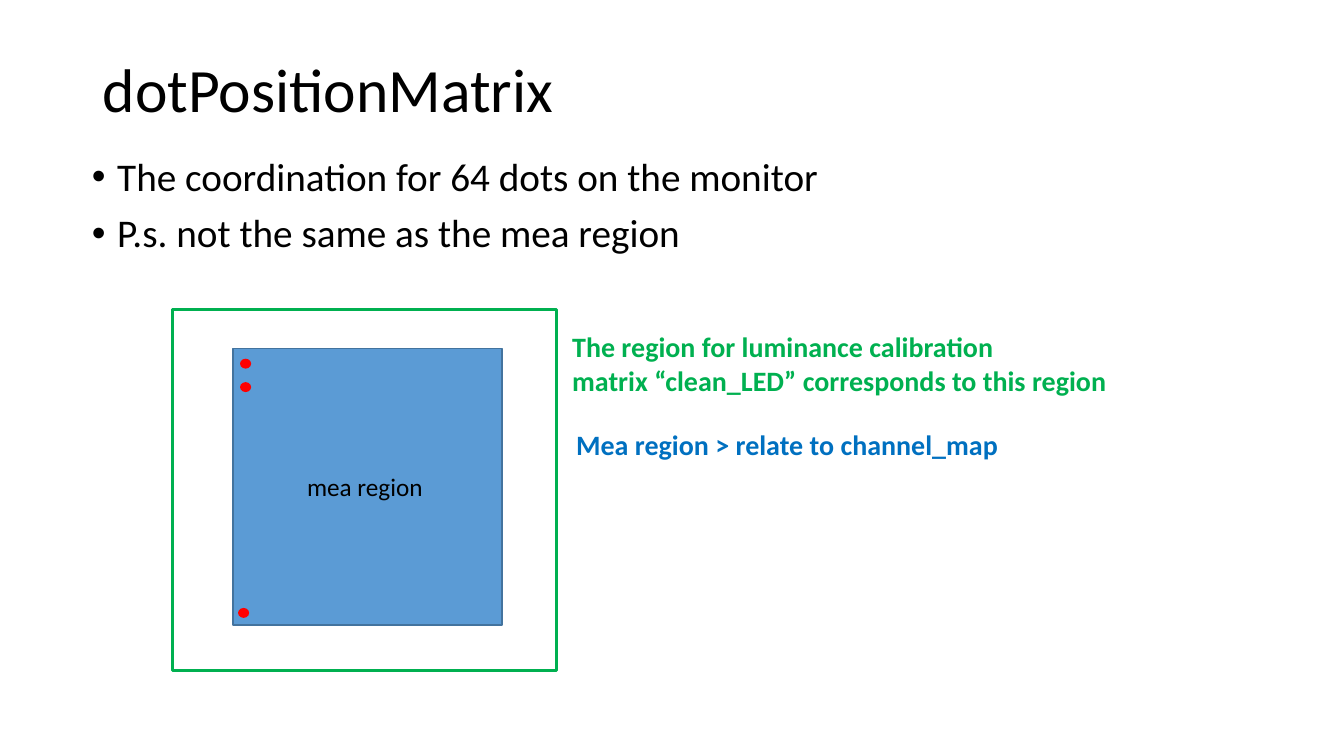
from collections import namedtuple

from pptx import Presentation
from pptx.dml.color import RGBColor
from pptx.enum.shapes import MSO_SHAPE
from pptx.enum.text import MSO_ANCHOR, MSO_AUTO_SIZE, PP_ALIGN
from pptx.util import Cm, Pt

BLACK = RGBColor(0x00, 0x00, 0x00)
BLUE = RGBColor(0x5B, 0x9B, 0xD5)
DARK_BLUE = RGBColor(0x43, 0x73, 0x9E)
NOTE_BLUE = RGBColor(0x00, 0x70, 0xC0)
GREEN = RGBColor(0x00, 0xB0, 0x50)
RED = RGBColor(0xFF, 0x00, 0x00)

Box = namedtuple("Box", "left top width height")


def inside(box, left, top, width, height):
    return Box(box.left + left, box.top + top, width, height)


def place(shape, box):
    shape.left, shape.top, shape.width, shape.height = (Cm(side) for side in box)


def format_text(frame, size, color, bold=False):
    for para in frame.paragraphs:
        for span in para.runs:
            span.font.name = "Calibri"
            span.font.size = Pt(size)
            span.font.bold = bold
            span.font.color.rgb = color


def add_preset(page, preset, box, fill=None, line=None, line_width=1):
    shape = page.shapes.add_shape(preset, *(Cm(side) for side in box))
    shape.shadow.inherit = False
    if fill is None:
        shape.fill.background()
    else:
        shape.fill.solid()
        shape.fill.fore_color.rgb = fill
    if line is None:
        shape.line.fill.background()
    else:
        shape.line.color.rgb = line
        shape.line.width = Pt(line_width)


def add_label(page, box, text, size, color, bold=False):
    frame = page.shapes.add_textbox(*(Cm(side) for side in box)).text_frame
    frame.word_wrap = False
    frame.auto_size = MSO_AUTO_SIZE.SHAPE_TO_FIT_TEXT
    frame.text = text
    format_text(frame, size, color, bold)


def fill_title(page, box):
    title = page.shapes.title
    place(title, box)
    frame = title.text_frame
    frame.text = "dotPositionMatrix"
    frame.auto_size = MSO_AUTO_SIZE.NONE
    frame.vertical_anchor = MSO_ANCHOR.MIDDLE
    frame.paragraphs[0].alignment = PP_ALIGN.LEFT
    frame.paragraphs[0].line_spacing = 0.9
    format_text(frame, 44, BLACK)


def fill_body(page, box):
    body = page.placeholders[1]
    place(body, box)
    frame = body.text_frame
    frame.text = (
        "The coordination for 64 dots on the monitor \n"
        "P.s. not the same as the mea region"
    )
    frame.auto_size = MSO_AUTO_SIZE.NONE
    for para in frame.paragraphs:
        para.line_spacing = 0.9
        para.space_before = Pt(10)
        properties = para._p.get_or_add_pPr()
        properties.set("marL", str(Cm(0.64)))
        properties.set("indent", str(-Cm(0.64)))
    format_text(frame, 28, BLACK)


def draw_regions(page, box):
    mea = inside(box, 1.53, 0.99, 6.78, 6.96)
    add_preset(page, MSO_SHAPE.RECTANGLE, mea, BLUE, DARK_BLUE)
    for left, top in ((0.18, 0.25), (0.18, 0.84), (0.13, 6.53)):
        add_preset(page, MSO_SHAPE.OVAL, inside(mea, left, top, 0.28, 0.25), RED)
    add_label(page, inside(mea, 1.62, 2.95, 3.45, 1.02), "mea region", 18, BLACK)
    add_preset(page, MSO_SHAPE.RECTANGLE, box, line=GREEN, line_width=2.25)


def add_notes_beside(page, box):
    calibration = (
        "The region for luminance calibration\n"
        "matrix “clean_LED” corresponds to this region "
    )
    add_label(page, inside(box, 0, 0, 14.25, 1.96), calibration, 20, GREEN, True)
    add_label(page, inside(box, 0.1, 2.46, 11.25, 1.12),
              "Mea region > relate to channel_map", 20, NOTE_BLUE, True)


deck = Presentation()
deck.slide_width = Cm(33.87)
deck.slide_height = Cm(19.05)
page = deck.slides.add_slide(deck.slide_layouts[1])
fill_title(page, Box(2.34, 0.48, 29.21, 3.68))
fill_body(page, Box(2.06, 3.84, 29.21, 3.18))
draw_regions(page, Box(4.34, 7.8, 9.68, 9.09))
add_notes_beside(page, Box(14.17, 8.18, 14.25, 3.58))
deck.save("out.pptx")
